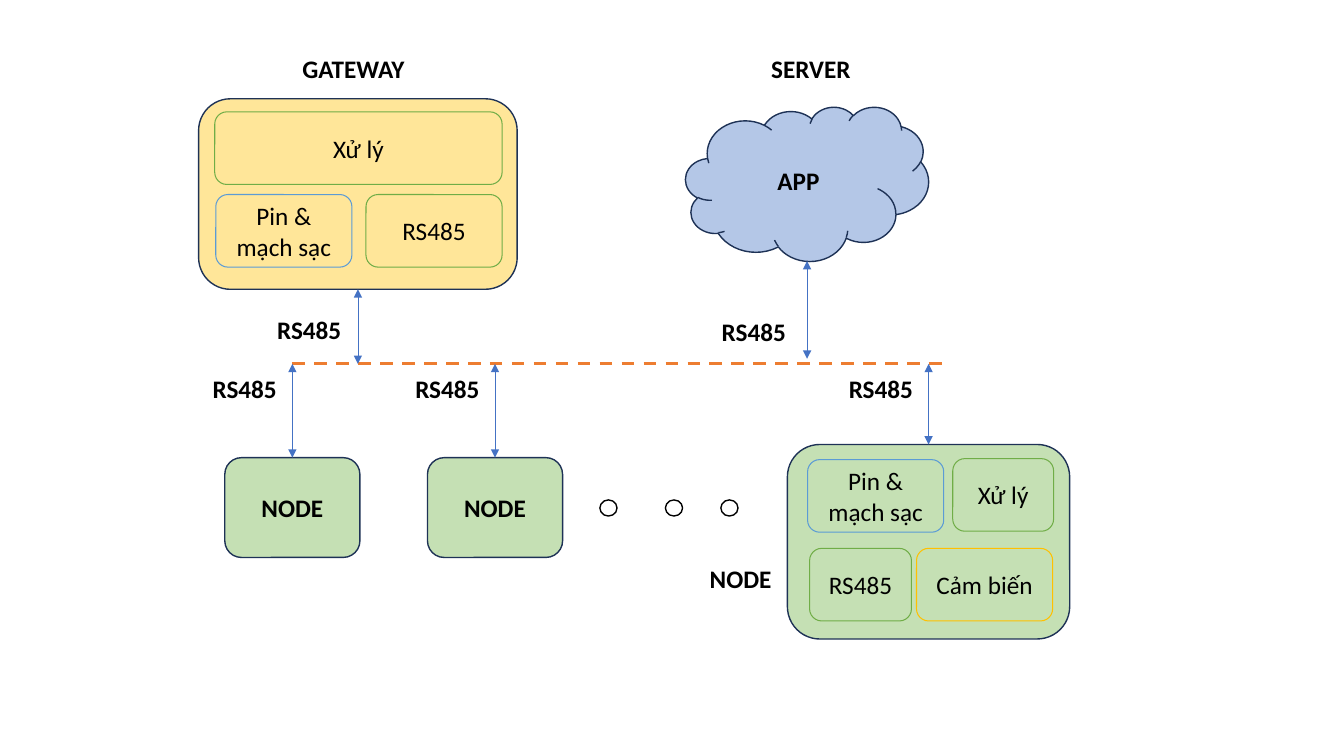
from pptx import Presentation
from pptx.dml.color import RGBColor
from pptx.enum.dml import MSO_LINE
from pptx.enum.shapes import MSO_CONNECTOR, MSO_SHAPE
from pptx.enum.text import MSO_ANCHOR, PP_ALIGN
from pptx.oxml.ns import qn
from pptx.util import Inches, Pt
from lxml.etree import SubElement

NAVY, GREEN, BLUE, GOLD = "1E3256", "70AD47", "5B9BD5", "FFC000"
MINT, SAND, SKY = "C5E0B4", "FFE699", "B4C7E7"
BUS_Y = 3.61
ROUND = MSO_SHAPE.ROUNDED_RECTANGLE


def paint(code):
    return RGBColor.from_string(code)


def write(frame, text, bold):
    run = frame.paragraphs[0].add_run()
    run.text = text
    font = run.font
    font.name, font.size, font.bold = "Calibri", Pt(18), bold
    font.color.rgb = paint("000000")


def block(slide, kind, box, fill, edge, width, text="", bold=False):
    shape = slide.shapes.add_shape(kind, *map(Inches, box))
    shape.shadow.inherit = False
    if fill:
        shape.fill.solid()
        shape.fill.fore_color.rgb = paint(fill)
    else:
        shape.fill.background()
    shape.line.color.rgb = paint(edge)
    shape.line.width = Pt(width)
    if text:
        frame = shape.text_frame
        frame.word_wrap = True
        frame.vertical_anchor = MSO_ANCHOR.MIDDLE
        frame.paragraphs[0].alignment = PP_ALIGN.CENTER
        write(frame, text, bold)
    return shape


def label(slide, left, top, text, width=0.98):
    box = slide.shapes.add_textbox(*map(Inches, (left, top, width, 0.4)))
    box.text_frame.word_wrap = True
    write(box.text_frame, text, True)


def line(slide, start, end, color, width):
    wire = slide.shapes.add_connector(
        MSO_CONNECTOR.STRAIGHT, *map(Inches, start + end))
    wire.line.color.rgb = paint(color)
    wire.line.width = Pt(width)
    SubElement(wire._element.spPr, qn("a:effectLst"))
    return wire


def arrow(slide, start, end):
    wire = line(slide, start, end, "4472C4", 0.5)
    stroke = wire.line._get_or_add_ln()
    for tag in ("a:headEnd", "a:tailEnd"):
        SubElement(stroke, qn(tag), type="triangle")
    return wire


def cells(slide, box, parts):
    for dx, dy, width, edge, text in parts:
        place = (box[0] + dx, box[1] + dy, width, 0.72)
        block(slide, ROUND, place, None, edge, 0.75, text)


def gateway(slide, box):
    left, top, width, height = box
    frame = block(slide, ROUND, box, SAND, NAVY, 1)
    cells(slide, box, [
        (0.16, 0.13, 2.85, GREEN, "Xử lý"),
        (0.17, 0.95, 1.35, BLUE, "Pin & mạch sạc"),
        (1.66, 0.95, 1.35, GREEN, "RS485"),
    ])
    mid, base = left + width / 2, top + height
    arrow(slide, (mid, base), (mid, BUS_Y)).begin_connect(frame, 2)
    label(slide, left + 0.93, top - 0.5, "GATEWAY", 1.25)
    label(slide, left + 0.68, base + 0.2, "RS485")


def server(slide, box):
    left, top, width, height = box
    block(slide, MSO_SHAPE.CLOUD, box, SKY, NAVY, 1, "APP", True)
    mid, base = left + width / 2, top + height
    arrow(slide, (mid, base), (mid, BUS_Y - 0.05))
    label(slide, left + 0.75, top - 0.58, "SERVER", 1.33)
    label(slide, left + 0.26, base + 0.5, "RS485")


def node(slide, box, text=""):
    left, top, width, height = box
    frame = block(slide, ROUND, box, MINT, NAVY, 1, text, True)
    mid = left + width / 2
    arrow(slide, (mid, top), (mid, BUS_Y)).begin_connect(frame, 0)
    label(slide, mid - 0.89, BUS_Y + 0.04, "RS485")


def detail(slide, box):
    node(slide, box)
    cells(slide, box, [
        (0.2, 0.15, 1.35, BLUE, "Pin & mạch sạc"),
        (1.64, 0.14, 1, GREEN, "Xử lý"),
        (0.22, 1.03, 1.01, GREEN, "RS485"),
        (1.28, 1.03, 1.35, GOLD, "Cảm biến"),
    ])
    label(slide, box[0] - 0.87, box[1] + 1.13, "NODE")


def dots(slide, box):
    left, top, width, height = box
    for dx in (0, 0.65, 1.2):
        block(slide, MSO_SHAPE.FLOWCHART_CONNECTOR,
              (left + dx, top, width, height), "FFFFFF", "000000", 1)


def main():
    deck = Presentation()
    deck.slide_width, deck.slide_height = Inches(13.33), Inches(7.5)
    slide = deck.slides.add_slide(deck.slide_layouts[6])
    bus = line(slide, (2.9, BUS_Y), (9.36, BUS_Y), "ED7D31", 2.25)
    bus.line.dash_style = MSO_LINE.DASH
    gateway(slide, (1.97, 0.98, 3.16, 1.89))
    server(slide, (6.8, 1.06, 2.41, 1.53))
    for left in (2.23, 4.24):
        node(slide, (left, 4.54, 1.34, 0.99), "NODE")
    dots(slide, (5.95, 4.96, 0.17, 0.16))
    detail(slide, (7.81, 4.41, 2.8, 1.93))
    deck.save("out.pptx")


if __name__ == "__main__":
    main()
